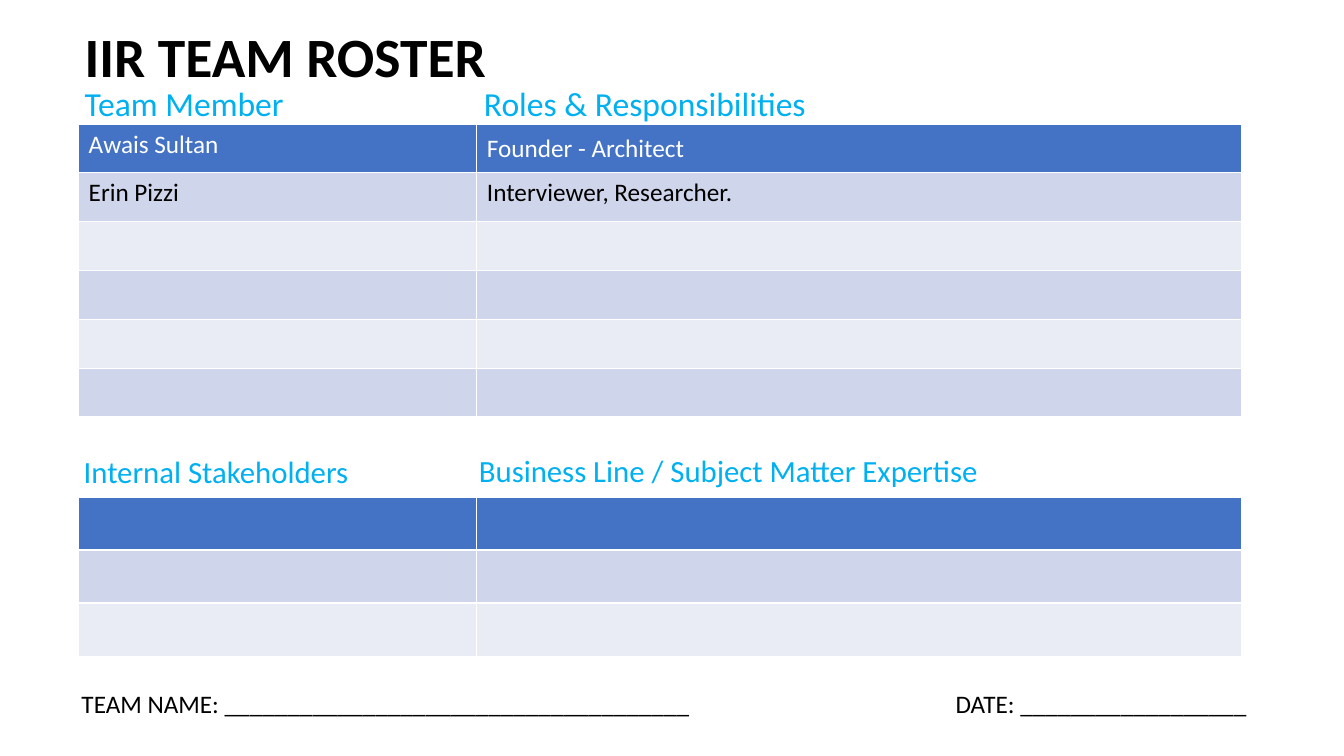
from dataclasses import dataclass

from pptx import Presentation
from pptx.dml.color import RGBColor
from pptx.enum.text import MSO_ANCHOR, MSO_AUTO_SIZE, PP_ALIGN
from pptx.util import Inches, Pt

FONT = "Calibri"
BLACK, WHITE, CYAN = "000000", "FFFFFF", "00B0F0"
HEADER, BANDS = "4472C4", ("CFD5EA", "E9EBF5")
COLUMNS = (3.95, 7.58)


@dataclass
class Label:
    text: str
    box: tuple
    size: float
    color: str = BLACK
    bold: bool = False
    anchor: MSO_ANCHOR = MSO_ANCHOR.TOP
    inset: float = 0.1
    line_spacing: float = 1.0
    after: float = 0


@dataclass
class Roster:
    top: float
    height: float
    row_count: int
    entries: tuple = ()


PLACEHOLDERS = {
    0: Label("IIR TEAM ROSTER", (0.74, 0.34, 4.63, 0.5), 39.6, bold=True,
             anchor=MSO_ANCHOR.MIDDLE, line_spacing=0.9),
    1: Label("Team Member", (0.74, 0.58, 4.42, 0.7), 24, CYAN,
             anchor=MSO_ANCHOR.BOTTOM, line_spacing=0.9),
    3: Label("Roles & Responsibilities", (4.7, 0.58, 5.58, 0.7), 24, CYAN,
             anchor=MSO_ANCHOR.BOTTOM, line_spacing=0.9),
}
TEXT_BOXES = (
    Label("Internal Stakeholders", (0.78, 4.21, 4.42, 0.7), 22, CYAN,
          anchor=MSO_ANCHOR.BOTTOM, inset=0.05, after=2),
    Label("Business Line / Subject Matter Expertise", (4.7, 4.2, 5.92, 0.7), 22, CYAN,
          anchor=MSO_ANCHOR.BOTTOM, inset=0.05, after=2),
    Label("TEAM NAME: _____________________________________", (0.71, 6.78, 6.95, 0.4), 18),
    Label("DATE: __________________", (9.38, 6.78, 3.37, 0.4), 18),
)
ROSTERS = (
    Roster(1.23, 2.91, 6, (("Awais Sultan", "Founder - Architect"),
                           ("Erin Pizzi", "Interviewer, Researcher."))),
    Roster(4.93, 1.58, 3),
)


def rgb(value: str) -> RGBColor:
    return RGBColor.from_string(value)


def write(tf, text: str, *, size: float, color: str = BLACK, bold: bool = False,
          line_spacing: float = 1.0, after: float = 0) -> None:
    p = tf.paragraphs[0]
    p.alignment = PP_ALIGN.LEFT
    p.line_spacing = line_spacing
    p.space_before, p.space_after = Pt(0), Pt(after)
    r = p.add_run()
    r.text = text
    r.font.name, r.font.size, r.font.bold = FONT, Pt(size), bold
    r.font.color.rgb = rgb(color)


def format_label(sp, label: Label) -> None:
    sp.left, sp.top, sp.width, sp.height = map(Inches, label.box)
    tf = sp.text_frame
    tf.word_wrap = True
    tf.auto_size = MSO_AUTO_SIZE.NONE
    tf.vertical_anchor = label.anchor
    tf.margin_left = tf.margin_right = Inches(label.inset)
    tf.margin_top = tf.margin_bottom = Inches(0.05)
    write(tf, label.text, size=label.size, color=label.color, bold=label.bold,
          line_spacing=label.line_spacing, after=label.after)


def add_roster(s, roster: Roster) -> None:
    table = s.shapes.add_table(roster.row_count, len(COLUMNS), Inches(0.78),
                               Inches(roster.top), Inches(sum(COLUMNS)),
                               Inches(roster.height)).table
    for column, width in zip(table.columns, COLUMNS):
        column.width = Inches(width)
    for i, row in enumerate(table.rows):
        for cell in row.cells:
            cell.fill.solid()
            cell.fill.fore_color.rgb = rgb(BANDS[(i - 1) % 2] if i else HEADER)
    for i, entry in enumerate(roster.entries):
        for j, text in enumerate(entry):
            write(table.cell(i, j).text_frame, text, size=18, color=BLACK if i else WHITE)
    if roster.entries:
        table.cell(0, 1).vertical_anchor = MSO_ANCHOR.MIDDLE


def main() -> None:
    prs = Presentation()
    prs.slide_width, prs.slide_height = Inches(13.33), Inches(7.5)
    s = prs.slides.add_slide(prs.slide_layouts.get_by_name("Comparison"))
    for sp in list(s.placeholders):
        label = PLACEHOLDERS.get(sp.placeholder_format.idx)
        if label:
            format_label(sp, label)
        else:
            sp.element.getparent().remove(sp.element)
    for roster in ROSTERS:
        add_roster(s, roster)
    for label in TEXT_BOXES:
        format_label(s.shapes.add_textbox(*map(Inches, label.box)), label)
    prs.save("out.pptx")


if __name__ == "__main__":
    main()
